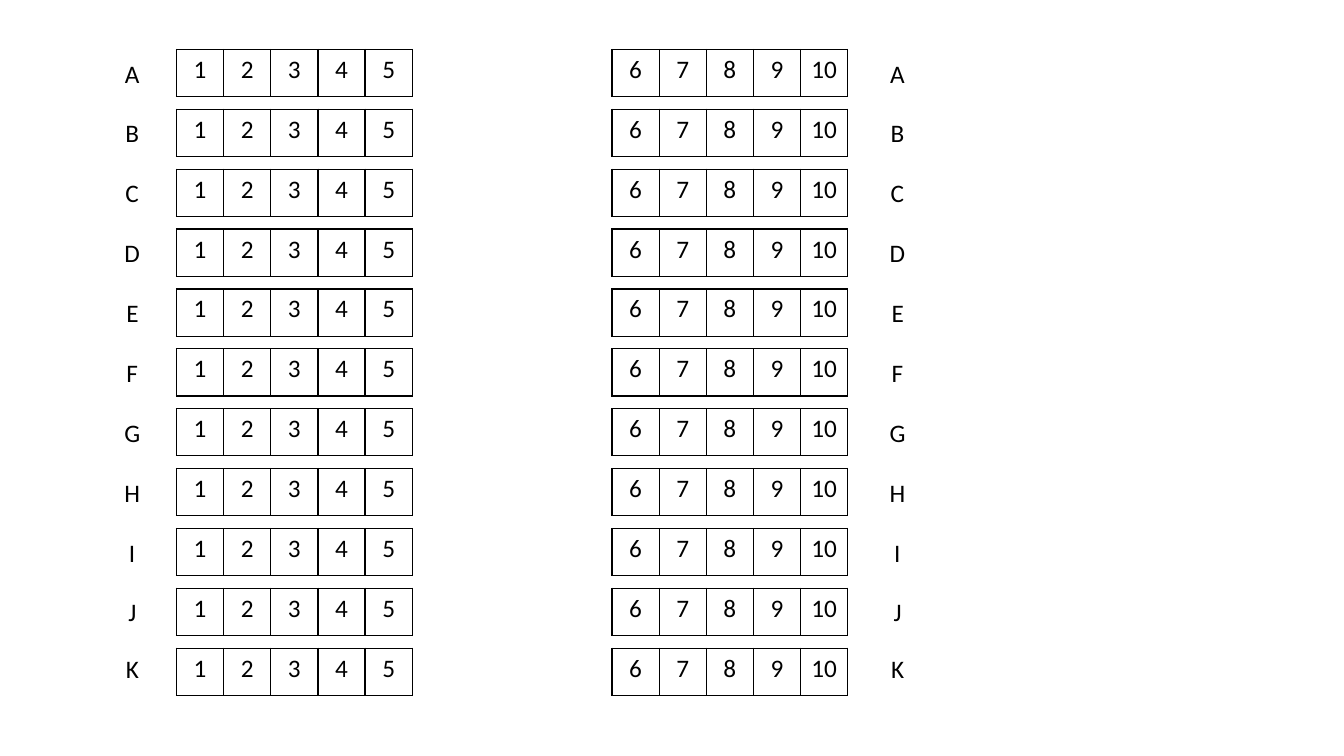
from lxml.etree import SubElement
from pptx import Presentation
from pptx.dml.color import RGBColor as RGB
from pptx.enum.text import MSO_AUTO_SIZE as FIT, PP_ALIGN as ALIGN
from pptx.oxml.ns import qn
from pptx.util import Inches, Pt

COLORS = {"ink": "000000", "paper": "FFFFFF"}
LABEL_WIDTHS = dict(A=0.35, B=0.34, C=0.34, D=0.36, E=0.32, F=0.32,
                    G=0.36, H=0.36, I=0.27, J=0.28, K=0.33)
SEATS = 5
LEFT_BLOCK, RIGHT_BLOCK = 0, 9.23
LEFT_LABELS, RIGHT_LABELS = -0.93, 15.29


class SeatPlan:
    """Draws numbered seat rows and letters on a grid of seat columns and rows."""

    font, size = "Calibri", Pt(18)
    left, top = 1.75, 0.49
    col, row = 2.34 / SEATS, 0.594
    seat_height, label_height = 0.79, 0.68

    def __init__(self, prs):
        self.s = prs.slides.add_slide(prs.slide_layouts[6])
        fill = self.s.background.fill
        fill.solid()
        fill.fore_color.rgb = RGB.from_string(COLORS["paper"])

    def x(self, col):
        return Inches(self.left + col * self.col)

    def y(self, row):
        return Inches(self.top + row * self.row)

    def text(self, tf, text, align):
        p = tf.paragraphs[0]
        p.alignment = align
        r = p.add_run()
        r.text = text
        r.font.name, r.font.size = self.font, self.size
        r.font.color.rgb = RGB.from_string(COLORS["ink"])

    def border(self, cell):
        tc_pr = cell._tc.get_or_add_tcPr()
        for side in ("lnL", "lnR", "lnT", "lnB"):
            ln = SubElement(tc_pr, qn(f"a:{side}"), w=str(Pt(1)))
            fill = SubElement(ln, qn("a:solidFill"))
            SubElement(fill, qn("a:srgbClr"), val=COLORS["ink"])

    def seats(self, col, row, first):
        width, height = Inches(SEATS * self.col), Inches(self.seat_height * self.row)
        table = self.s.shapes.add_table(
            1, SEATS, self.x(col), self.y(row), width, height).table
        table.first_row = table.horz_banding = False
        for i, cell in enumerate(table.iter_cells()):
            table.columns[i].width = Inches(self.col)
            self.border(cell)
            cell.fill.background()
            self.text(cell.text_frame, str(first + i), ALIGN.CENTER)

    def label(self, center, row, letter):
        width = Inches(LABEL_WIDTHS[letter])
        sp = self.s.shapes.add_textbox(
            self.x(center) - width // 2, self.y(row), width,
            Inches(self.label_height * self.row))
        tf = sp.text_frame
        tf.word_wrap = False
        tf.auto_size = FIT.SHAPE_TO_FIT_TEXT
        self.text(tf, letter, ALIGN.LEFT)


def main():
    prs = Presentation()
    prs.slide_width, prs.slide_height = Inches(13.33), Inches(7.5)
    plan = SeatPlan(prs)
    for col, first in ((LEFT_BLOCK, 1), (RIGHT_BLOCK, 1 + SEATS)):
        for row in range(len(LABEL_WIDTHS)):
            plan.seats(col, row, first)
    for center in (LEFT_LABELS, RIGHT_LABELS):
        for row, letter in enumerate(LABEL_WIDTHS):
            drop = 0 if letter == "K" else 0.06
            plan.label(center, row + drop, letter)
    prs.save("out.pptx")


if __name__ == "__main__":
    main()
